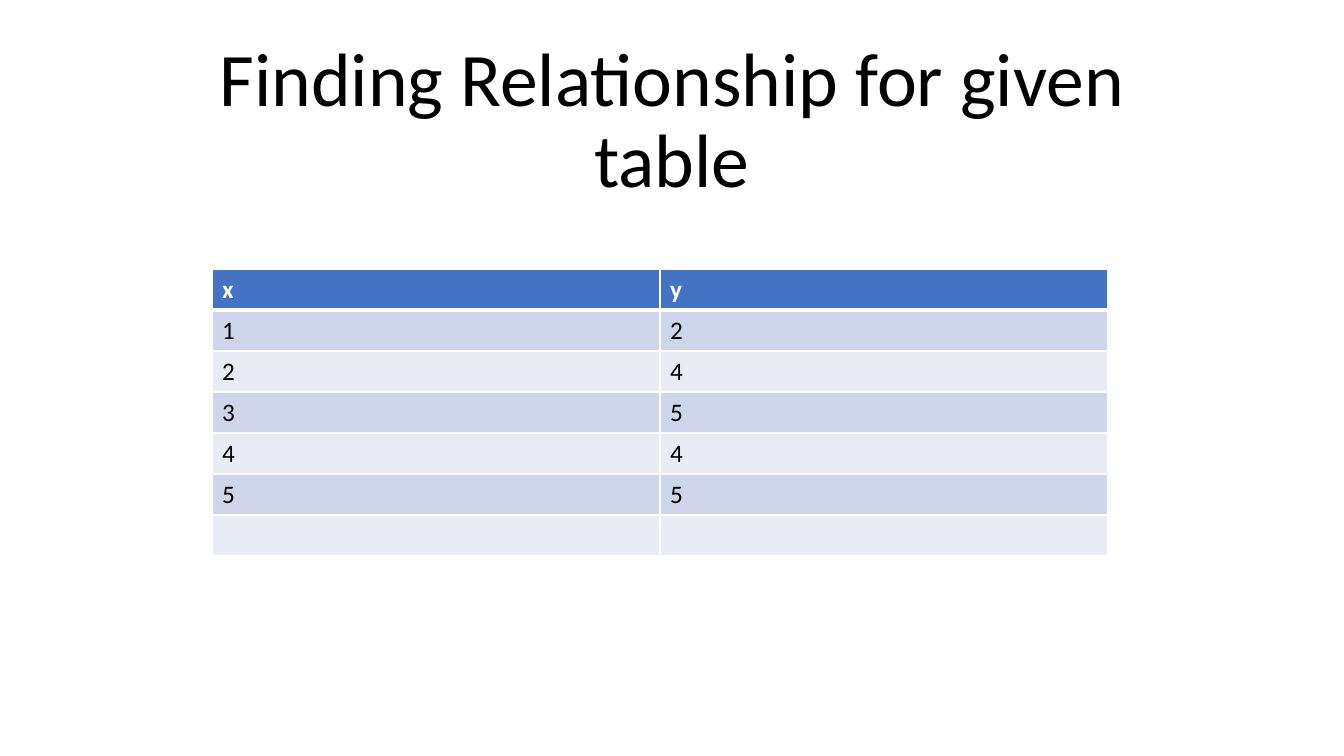
import pptx
import pptx.dml.color
import pptx.enum.text
import pptx.oxml
import pptx.oxml.ns
import pptx.util

PX = 914400 / 100.8
WHITE, BLACK, BLUE = "FFFFFF", "000000", "4472C4"
BANDS = ["E9EBF5", "CFD5EA"]


def px(count):
    return pptx.util.Emu(round(count * PX))


def color(hex_code):
    return pptx.dml.color.RGBColor.from_string(hex_code)


deck = pptx.Presentation()
deck.slide_width, deck.slide_height = px(1344), px(756)
page = deck.slides.add_slide(deck.slide_layouts[6])

# Title
title = page.shapes.add_textbox(px(168), px(124), px(1008), px(85))
frame = title.text_frame
frame.word_wrap = True
frame.vertical_anchor = pptx.enum.text.MSO_ANCHOR.BOTTOM
frame.text = "Finding Relationship for given table"
para = frame.paragraphs[0]
para.alignment = pptx.enum.text.PP_ALIGN.CENTER
para.line_spacing = 0.9
span = para.runs[0]
span.font.name = "Calibri"
span.font.size = pptx.util.Pt(54)
span.font.color.rgb = color(BLACK)

# Table of x and y values
values = [("x", "y"), ("1", "2"), ("2", "4"), ("3", "5"), ("4", "4"), ("5", "5"), ("", "")]
table = page.shapes.add_table(
    len(values), 2, px(212), px(269), px(896), px(41 * len(values))
).table
for row_index, row_values in enumerate(values):
    table.rows[row_index].height = px(41)
    is_header = row_index == 0
    for column_index, value in enumerate(row_values):
        cell = table.cell(row_index, column_index)
        cell.text = value
        cell.fill.solid()
        cell.fill.fore_color.rgb = color(BLUE if is_header else BANDS[row_index % 2])
        font = cell.text_frame.paragraphs[0].font
        font.size = pptx.util.Pt(18)
        for span in cell.text_frame.paragraphs[0].runs:
            span.font.name = "Calibri"
            span.font.size = pptx.util.Pt(18)
            span.font.bold = is_header
            span.font.color.rgb = color(WHITE if is_header else BLACK)

        # White borders, thicker under the header
        properties = cell._tc.get_or_add_tcPr()
        for position, side in enumerate("LRTB"):
            under_header = (row_index, side) in [(0, "B"), (1, "T")]
            width = pptx.util.Pt(3 if under_header else 1)
            border = pptx.oxml.parse_xml(
                f'<a:ln{side} {pptx.oxml.ns.nsdecls("a")} w="{width}">'
                f'<a:solidFill><a:srgbClr val="{WHITE}"/></a:solidFill></a:ln{side}>'
            )
            properties.insert(position, border)

deck.save("out.pptx")
